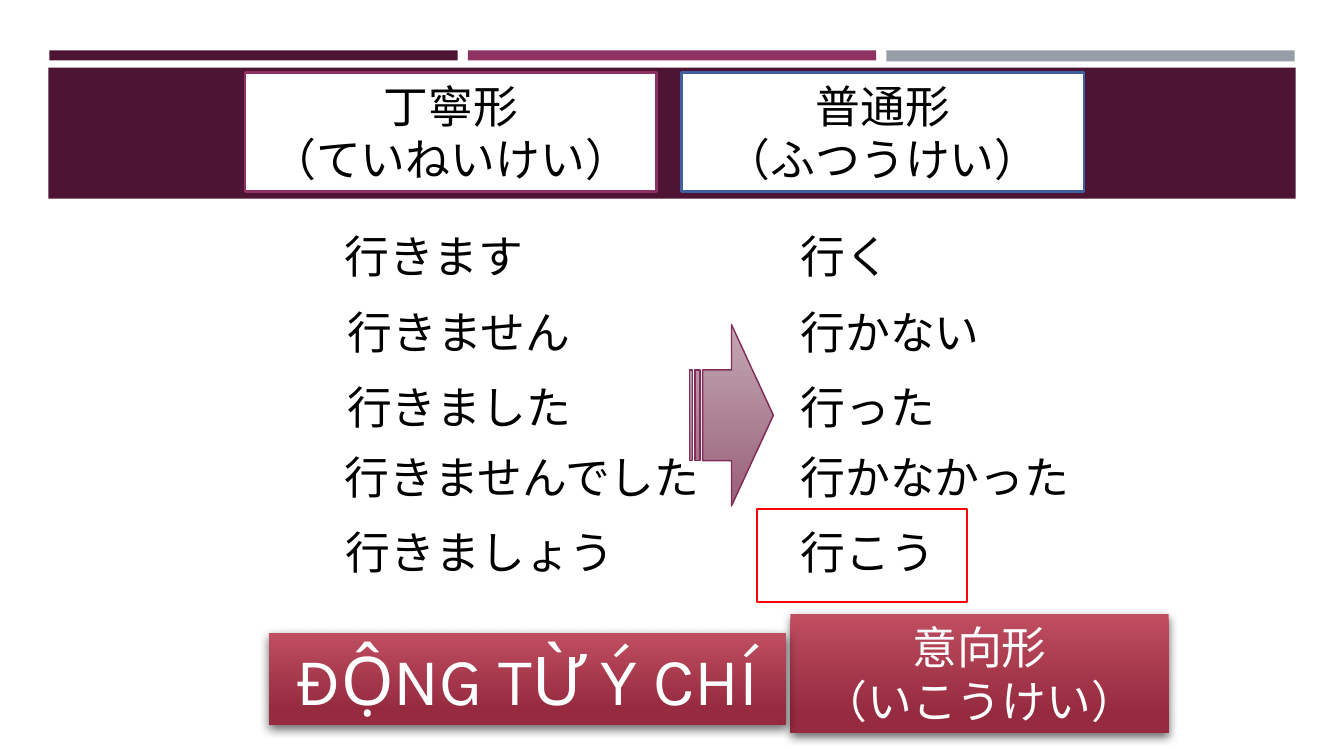
from lxml import etree
from pptx import Presentation
from pptx.dml.color import RGBColor
from pptx.enum import shapes, text
from pptx.oxml import ns
from pptx.util import Inches, Pt

INK = {"plum": "4D1434", "rose": "903163", "grey": "969FA7", "blue": "40619D",
       "red": "FF0000", "black": "000000", "white": "FFFFFF", "edge": "822C59",
       "top": "BF4E61", "base": "962A3F", "pale": "BD9FAB", "deep": "995F79"}

BARS = [((0.49, 0.5, 4.05, 0.1), "plum"), ((4.64, 0.5, 4.05, 0.1), "rose"),
        ((8.79, 0.5, 4.05, 0.11), "grey"), ((0.48, 0.67, 12.37, 1.3), "plum")]
VERBS = [(2.22, "行きます", 2.25, "行く", 2.25),
         (2.97, "行きません", 2.75, "行かない", 2.75),
         (3.72, "行きました", 2.75, "行った", 2.75),
         (4.41, "行きませんでした", 4, "行かなかった", 4),
         (5.16, "行きましょう", 3.17, "行こう", 3.25)]
HEADS = [((2.43, 0.72, 4.08, 1.18), "rose", "丁寧形", "（ていねいけい）"),
         ((6.76, 0.72, 3.99, 1.18), "blue", "普通形", "（ふつうけい）")]
TAGS = [((7.84, 6.09, 3.75, 1.18), "意向形\v（いこうけい）", 32, "Roboto"),
        ((2.67, 6.28, 5.13, 0.91), "ĐỘNG TỪ Ý CHÍ", 48, "Karla")]
ARROW = (6.84, 3.22, 0.83, 1.8)
FRAME = (7.51, 5.05, 2.08, 0.92)
LEFT, RIGHT, ROW = 3.18, 7.84, 0.64

deck = Presentation()
deck.slide_width, deck.slide_height = Inches(13.33), Inches(7.5)
slide = deck.slides.add_slide(deck.slide_layouts[6])


def tint(name):
    return RGBColor.from_string(INK[name])


def shape(at, fill=None, line=None, width=1.75, kind=shapes.MSO_SHAPE.RECTANGLE):
    item = slide.shapes.add_shape(kind, *map(Inches, at))
    item.shadow.inherit = False
    if fill:
        item.fill.solid()
        item.fill.fore_color.rgb = tint(fill)
    else:
        item.fill.background()
    if line:
        item.line.color.rgb = tint(line)
        item.line.width = Pt(width)
    else:
        item.line.fill.background()
    return item


def blend(item, stops):
    item.fill.gradient()
    item.fill.gradient_angle = 270
    for stop, (place, name) in zip(item.fill.gradient_stops, stops):
        stop.position = place
        stop.color.rgb = tint(name)


def alpha(color, share):
    etree.SubElement(color, ns.qn("a:alpha"), val=str(share * 1000))


def shade(item):
    effects = item._element.spPr.find(ns.qn("a:effectLst"))
    outer = etree.SubElement(effects, ns.qn("a:outerShdw"), blurRad=str(Pt(7)),
                             dist=str(Pt(3)), dir=str(84 * 60000), rotWithShape="0")
    alpha(etree.SubElement(outer, ns.qn("a:srgbClr"), val=INK["black"]), 60)


def style(item, size, color, align, font=None):
    frame = item.text_frame
    frame.word_wrap = True
    para = frame.paragraphs[0]
    para.alignment = align
    para.font.size = Pt(size)
    para.font.color.rgb = tint(color)
    if font:
        para.font.name = font
    return para


MID, START = text.PP_ALIGN.CENTER, text.PP_ALIGN.LEFT

for at, fill in BARS:
    shape(at, fill)

for top, polite, wide, plain, span in VERBS:
    for left, word, width, align in ((LEFT, polite, wide, MID), (RIGHT, plain, span, START)):
        box = slide.shapes.add_textbox(*map(Inches, (left, top, width, ROW)))
        style(box, 32, "black", align, "Roboto").text = word

for at, line, name, kana in HEADS:
    para = style(shape(at, "white", line), 32, "black", MID)
    for words, font in ((name + "\v", "Noto Sans CJK JP"), (kana, "Calibri")):
        run = para.add_run()
        run.text = words.rstrip("\v")
        run.font.name = font
        if words.endswith("\v"):
            para.add_line_break()

arrow = shape(ARROW, line="edge", width=1, kind=shapes.MSO_SHAPE.STRIPED_RIGHT_ARROW)
blend(arrow, [(0, "pale"), (1, "deep")])
alpha(arrow._element.spPr.find(".//" + ns.qn("a:gs"))[0], 90)
shape(FRAME, line="red")

for at, words, size, font in TAGS:
    tag = shape(at)
    blend(tag, [(0, "top"), (0.84, "base")])
    shade(tag)
    style(tag, size, "white", MID, font).text = words

deck.save("out.pptx")
